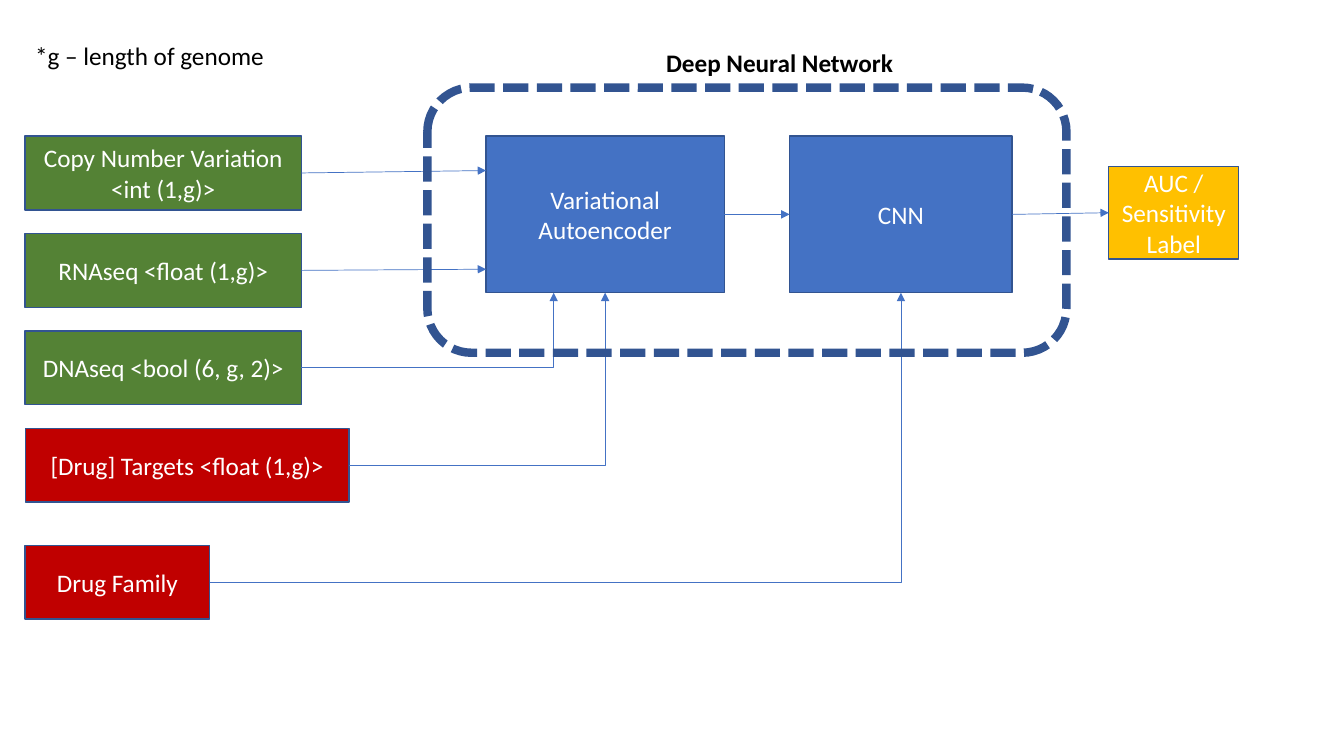
"""Build a slide showing how genome and drug inputs feed a deep neural network."""
from lxml.etree import SubElement
from pptx import Presentation
from pptx.dml.color import RGBColor
from pptx.enum.dml import MSO_LINE
from pptx.enum.shapes import MSO_CONNECTOR, MSO_SHAPE
from pptx.enum.text import MSO_ANCHOR, MSO_AUTO_SIZE, PP_ALIGN
from pptx.oxml.ns import qn
from pptx.util import Pt

THEME = {
    "font": "Calibri", "size": 18,
    "blue": "4472C4", "green": "548235", "red": "C00000", "amber": "FFC000",
    "outline": "325491", "white": "FFFFFF", "black": "000000",
    "outline_width": 1, "arrow_width": 0.5, "frame_width": 6,
}
LEFT, TOP, PITCH = 18, 97.2, 69.6
INPUT_W, INPUT_H, MODEL_H = 197.3, 52.7, 111.9

BOXES = {
    "vae": ("Variational Autoencoder", "blue", 347.2, TOP, 170.2, MODEL_H),
    "cnn": ("CNN", "blue", 564, TOP, 159, MODEL_H),
    "label": ("AUC / Sensitivity Label", "amber", 792, 118.8, 92.9, 66.3),
    "cnv": ("Copy Number Variation <int (1,g)>", "green", LEFT, TOP, INPUT_W, INPUT_H),
    "rna": ("RNAseq <float (1,g)>", "green", LEFT, TOP + PITCH, INPUT_W, INPUT_H),
    "dna": ("DNAseq <bool (6, g, 2)>", "green", LEFT, TOP + 2 * PITCH, INPUT_W, INPUT_H),
    "targets": ("[Drug] Targets <float (1,g)>", "red", LEFT, TOP + 3 * PITCH, 231.4, INPUT_H),
    "family": ("Drug Family", "red", LEFT, 389.5, 131.8, INPUT_H),
}
SIDE_ARROWS = [("vae", "cnn", 0.5), ("cnn", "label", 0.5),
               ("rna", "vae", 0.85), ("cnv", "vae", 0.22)]
BOTTOM_ARROWS = [("targets", "vae", 0.5), ("dna", "vae", 0.284), ("family", "cnn", 0.5)]
CAPTIONS = [("*g – length of genome", 18, 25.2, 184.3, False),
            ("Deep Neural Network", 468.7, 30.2, 177.8, True)]
FRAME = (305.3, 62.6, 456.5, 189.4)


def rgb(name):
    return RGBColor.from_string(THEME[name])


def set_text(tf, text, color, bold=False):
    p = tf.paragraphs[0]
    p.text = text
    p.font.name, p.font.size = THEME["font"], Pt(THEME["size"])
    p.font.bold, p.font.color.rgb = bold, rgb(color)
    return p


def add_outlined(s, kind, bounds, width):
    sp = s.shapes.add_shape(kind, *map(Pt, bounds))
    sp.shadow.inherit = False
    sp.line.color.rgb, sp.line.width = rgb("outline"), Pt(width)
    return sp


def add_box(s, text, color, *bounds):
    sp = add_outlined(s, MSO_SHAPE.RECTANGLE, bounds, THEME["outline_width"])
    sp.fill.solid()
    sp.fill.fore_color.rgb = rgb(color)
    tf = sp.text_frame
    tf.word_wrap, tf.vertical_anchor = True, MSO_ANCHOR.MIDDLE
    set_text(tf, text, "white").alignment = PP_ALIGN.CENTER


def add_arrow(s, source, x, y, bent=False):
    left, top, width, height = BOXES[source][2:]
    kind = MSO_CONNECTOR.ELBOW if bent else MSO_CONNECTOR.STRAIGHT
    ends = (left + width, top + height / 2, x, y)
    cx = s.shapes.add_connector(kind, *map(Pt, ends))
    cx.line.color.rgb, cx.line.width = rgb("blue"), Pt(THEME["arrow_width"])
    props = cx._element.spPr
    if bent:
        props.find(qn("a:prstGeom")).set("prst", "bentConnector2")
    SubElement(props.find(qn("a:ln")), qn("a:tailEnd"), type="triangle")
    SubElement(props, qn("a:effectLst"))


def add_caption(s, text, x, y, width, bold):
    tf = s.shapes.add_textbox(Pt(x), Pt(y), Pt(width), Pt(29)).text_frame
    tf.word_wrap, tf.auto_size = False, MSO_AUTO_SIZE.SHAPE_TO_FIT_TEXT
    set_text(tf, text, "black", bold)


def main():
    prs = Presentation()
    prs.slide_width, prs.slide_height = Pt(960), Pt(540)
    s = prs.slides.add_slide(prs.slide_layouts[6])
    for box in BOXES.values():
        add_box(s, *box)
    for source, target, share in BOTTOM_ARROWS:
        left, top, width, height = BOXES[target][2:]
        add_arrow(s, source, left + share * width, top + height, bent=True)
    for source, target, share in SIDE_ARROWS:
        left, top, width, height = BOXES[target][2:]
        add_arrow(s, source, left, top + share * height)
    frame = add_outlined(s, MSO_SHAPE.ROUNDED_RECTANGLE, FRAME, THEME["frame_width"])
    frame.fill.background()
    frame.line.dash_style = MSO_LINE.SQUARE_DOT
    for caption in CAPTIONS:
        add_caption(s, *caption)
    prs.save("out.pptx")


if __name__ == "__main__":
    main()
